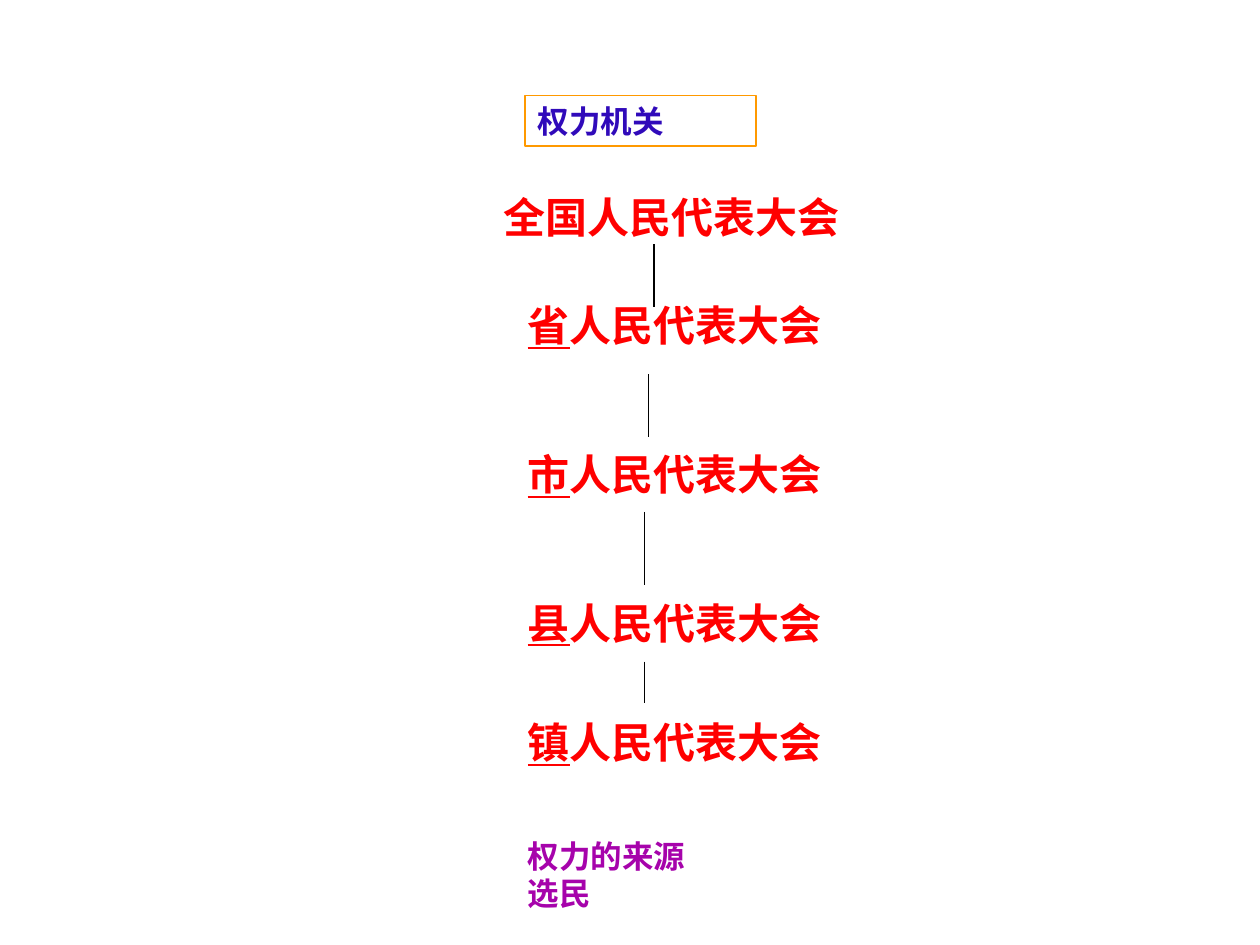
"""Build a slide showing the levels of people's congresses and their source of power."""
import pptx
import pptx.dml.color
import pptx.enum.shapes
import pptx.enum.text
import pptx.oxml
import pptx.oxml.ns
import pptx.util

Pt = pptx.util.Pt


def color(hex_string):
    return pptx.dml.color.RGBColor.from_string(hex_string)


class CongressSlide:
    font_name = "Arial"
    level_size, label_size = 24, 18
    level_color, heading_color, source_color = "FF0000", "300ABA", "A603AB"
    border_color, link_color = "FF9900", "000000"

    def __init__(self, presentation):
        self.slide = presentation.slides.add_slide(presentation.slide_layouts[6])
        self.shapes = self.slide.shapes

    def set_text(self, frame, texts, size, hex_string, font_name=None, wrap=True):
        frame.word_wrap = wrap
        paragraph = frame.paragraphs[0]
        paragraph.alignment = pptx.enum.text.PP_ALIGN.LEFT
        paragraph.font.name = font_name or self.font_name
        paragraph.font.size = Pt(size)
        paragraph.font.bold = True
        paragraph.font.color.rgb = color(hex_string)
        for text in texts:
            paragraph.add_run().text = text
        return paragraph

    def level(self, left, top, width, region, body):
        frame = self.shapes.add_textbox(Pt(left), Pt(top), Pt(width), Pt(36)).text_frame
        texts = [region, body] if region else [body]
        paragraph = self.set_text(frame, texts, self.level_size, self.level_color)
        if region:
            paragraph.runs[0].font.underline = True

    def link(self, x, top, bottom):
        link = self.shapes.add_connector(
            pptx.enum.shapes.MSO_CONNECTOR.STRAIGHT, Pt(x), Pt(top), Pt(x), Pt(bottom))
        link.line.color.rgb = color(self.link_color)
        link.line.width = Pt(0.75)
        properties = link._element.spPr
        properties.append(pptx.oxml.parse_xml(
            "<a:effectLst %s/>" % pptx.oxml.ns.nsdecls("a")))

    def heading(self, left, top, width, height, text):
        box = self.shapes.add_shape(
            pptx.enum.shapes.MSO_SHAPE.RECTANGLE, Pt(left), Pt(top), Pt(width), Pt(height))
        box.shadow.inherit = False
        box.fill.solid()
        box.fill.fore_color.rgb = color("FFFFFF")
        white = box._element.spPr.find(".//" + pptx.oxml.ns.qn("a:srgbClr"))
        white.append(pptx.oxml.parse_xml(
            '<a:alpha %s val="50000"/>' % pptx.oxml.ns.nsdecls("a")))
        box.line.color.rgb = color(self.border_color)
        box.line.width = Pt(1)
        self.set_text(box.text_frame, [text], self.label_size, self.heading_color)

    def source(self, left, top, width, height, text):
        frame = self.shapes.add_textbox(Pt(left), Pt(top), Pt(width), Pt(height)).text_frame
        self.set_text(frame, [text], self.label_size, self.source_color,
                      "Noto Sans CJK SC", wrap=False)


def main():
    presentation = pptx.Presentation()
    presentation.slide_width, presentation.slide_height = Pt(720), Pt(540)
    congress = CongressSlide(presentation)
    congress.heading(300.2, 54.5, 132, 29, "权力机关")
    congress.level(280.8, 105.8, 228, "", "全国人民代表大会")
    local_levels = [("省", 167.8, 210), ("市", 252.7, 186),
                    ("县", 337.7, 210), ("镇", 406, 198)]
    for region, top, width in local_levels:
        congress.level(294.5, top, width, region, "人民代表大会")
    links = [(373.7, 139.5, 175.5), (370.5, 213.8, 249.8),
             (368.4, 292.5, 334.5), (368.4, 378, 402)]
    for x, top, bottom in links:
        congress.link(x, top, bottom)
    congress.source(294.5, 474.5, 109.5, 34, "权力的来源选民")
    presentation.save("out.pptx")


if __name__ == "__main__":
    main()
